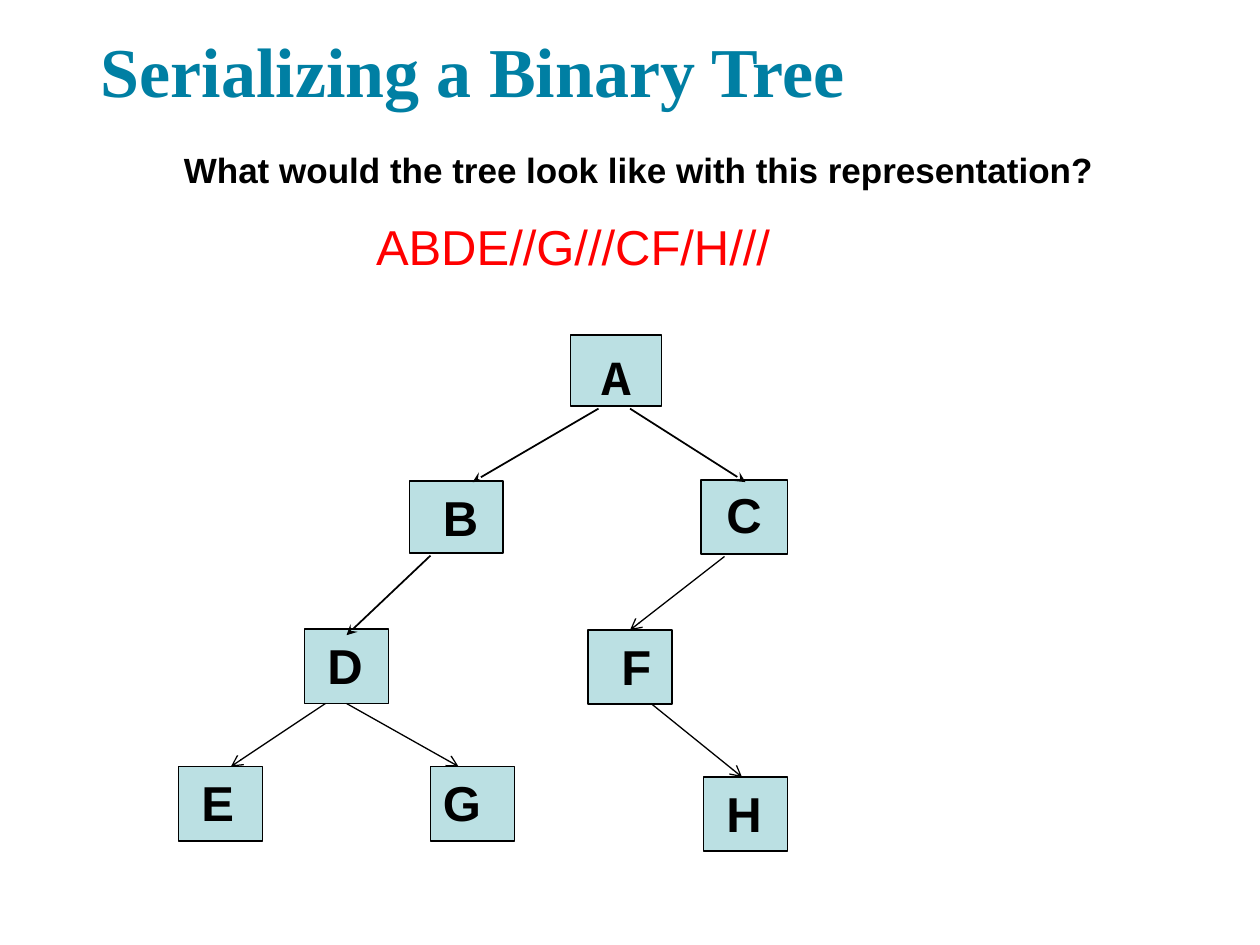
from pptx import Presentation
from pptx.dml.color import RGBColor
from pptx.enum.shapes import MSO_CONNECTOR, MSO_SHAPE
from pptx.enum.text import MSO_ANCHOR as ANCHOR, PP_ALIGN as ALIGN
from pptx.util import Pt
from lxml.etree import SubElement
from pptx.oxml.ns import qn

TEAL = RGBColor(0x00, 0x7F, 0xA3)
PALE_BLUE = RGBColor(0xBB, 0xE0, 0xE3)
BLACK = RGBColor(0, 0, 0)
RED = RGBColor(0xFF, 0, 0)

NODE_SIZE = (48, 42.5)
LABEL_HEIGHT = 41

# letter: (box left, top, width, height), (label left, top, width)
NODES = {
    "A": ((326, 191.5, 52, 40.5), (336, 194.5, 32)),
    "B": ((234, 275, 53.5, 41), (246, 275, 30)),
    "C": ((400.5, 274.5, 49.5, 42), (408, 273.5, 29.5)),
    "D": ((174, 359.5, *NODE_SIZE), (180, 359.5, 32.5)),
    "E": ((102, 438, *NODE_SIZE), (108, 438, 28)),
    "F": ((336, 360, *NODE_SIZE), (348, 360, 27.5)),
    "G": ((246, 438, *NODE_SIZE), (246, 438, 32.5)),
    "H": ((402, 444, *NODE_SIZE), (408, 444, 32.5)),
}

# start x, y, end x, y (parent to child), line width, arrowhead
EDGES = [
    (342, 233.5, 270, 275.5, 1, "stealth"),     # A to B
    (360, 233.5, 426, 275.5, 1, "stealth"),     # A to C
    (246, 317.5, 198, 363, 1, "stealth"),       # B to D
    (414, 318, 360, 360, 0.75, "arrow"),        # C to F
    (186, 402, 132, 438, 0.75, "arrow"),        # D to E
    (198, 402, 262, 438, 0.75, "arrow"),        # D to G
    (372, 402, 424, 444, 0.75, "arrow"),        # F to H
]


def write(tf, text, size, color, font="Arial", bold=True, align=ALIGN.CENTER):
    p = tf.paragraphs[0]
    p.alignment = align
    r = p.add_run()
    r.text = text
    r.font.name = font
    r.font.size = Pt(size)
    r.font.bold = bold
    r.font.color.rgb = color


def add_title(slide, text):
    sp = slide.shapes.title
    sp.left, sp.top, sp.width, sp.height = map(Pt, (50.5, 12, 594, 55.5))
    sp.text_frame.vertical_anchor = ANCHOR.BOTTOM
    write(sp.text_frame, text, 40, TEAL, "Times New Roman", align=ALIGN.LEFT)


def add_text(slide, bounds, text, size, color=BLACK, **style):
    sp = slide.shapes.add_textbox(*map(Pt, bounds))
    sp.text_frame.word_wrap = False
    write(sp.text_frame, text, size, color, **style)


def add_node_box(slide, bounds):
    sp = slide.shapes.add_shape(MSO_SHAPE.RECTANGLE, *map(Pt, bounds))
    sp.shadow.inherit = False
    sp.fill.solid()
    sp.fill.fore_color.rgb = PALE_BLUE
    sp.line.color.rgb = BLACK
    sp.line.width = Pt(1)


def add_arrow(slide, x1, y1, x2, y2, width, head):
    ends = map(Pt, (x1, y1, x2, y2))
    line = slide.shapes.add_connector(MSO_CONNECTOR.STRAIGHT, *ends)
    line.line.color.rgb = BLACK
    line.line.width = Pt(width)
    SubElement(line.line._get_or_add_ln(), qn("a:tailEnd"), type=head)
    SubElement(line._element.spPr, qn("a:effectLst"))


def main():
    prs = Presentation()
    prs.slide_width, prs.slide_height = Pt(720), Pt(540)
    slide = prs.slides.add_slide(prs.slide_layouts[5])

    # Title, question and serialized form
    add_title(slide, "Serializing a Binary Tree")
    add_text(slide, (96, 81.5, 538, 55.5),
             "What would the tree look like with this representation?", 20)
    add_text(slide, (206.5, 120, 242, 75), "ABDE//G///CF/H///", 28, RED,
             bold=False)

    # Tree nodes
    for letter, (box, label) in NODES.items():
        add_node_box(slide, box)
        font = "Courier New" if letter == "A" else "Arial"
        add_text(slide, (*label, LABEL_HEIGHT), letter, 28, font=font)

    # Links from parent to child
    for edge in EDGES:
        add_arrow(slide, *edge)

    prs.save("out.pptx")


if __name__ == "__main__":
    main()
